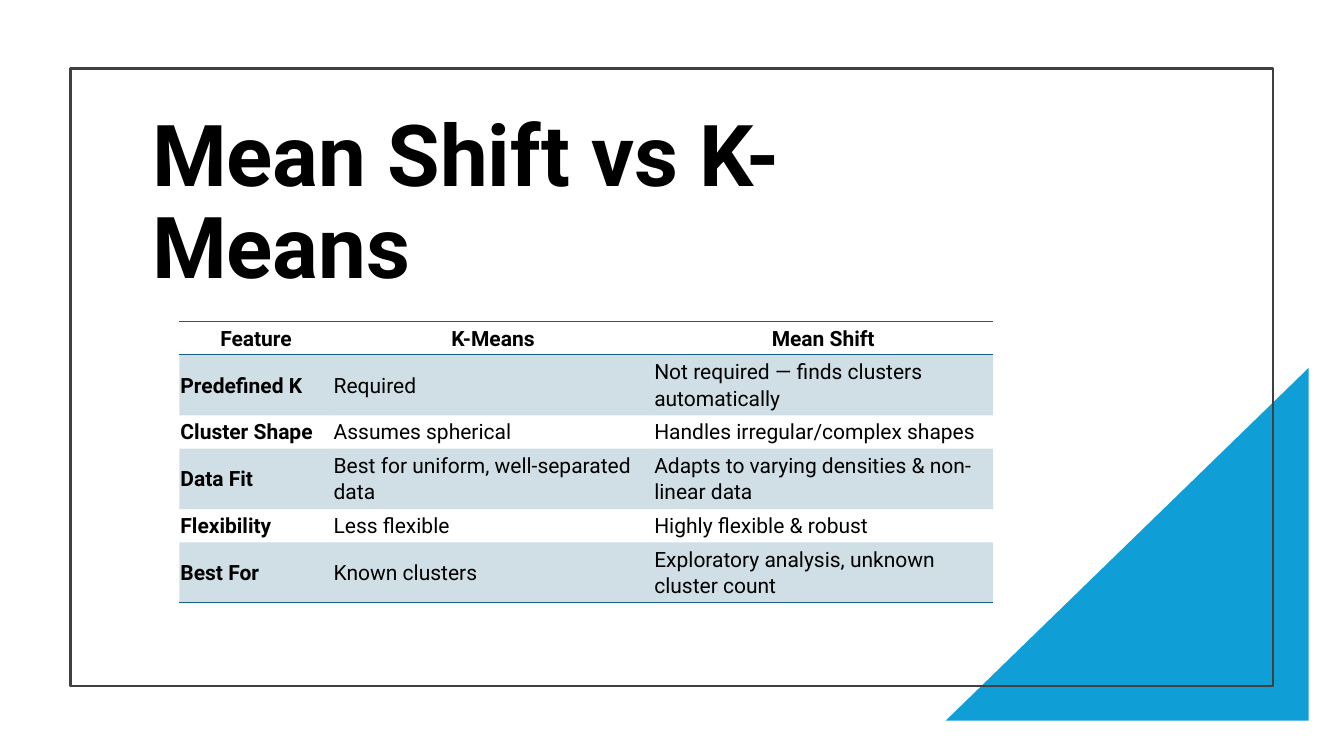
import pptx
import pptx.dml.color
import pptx.enum.shapes
import pptx.enum.text
import pptx.oxml
import pptx.oxml.ns
import pptx.util
from pptx.util import Inches

BLACK = pptx.dml.color.RGBColor(0x00, 0x00, 0x00)
FRAME_GREY = pptx.dml.color.RGBColor(0x40, 0x40, 0x40)
CORNER_BLUE = pptx.dml.color.RGBColor(0x0F, 0x9E, 0xD5)
TEAL = pptx.dml.color.RGBColor(0x15, 0x60, 0x82)
FONT = "Roboto"
PLAIN_TABLE_STYLE = "{2D5ABB26-0587-4C30-8999-92F81FD0307C}"
BAND_OPACITY = 20

COMPARISON = [
    ("Feature", "K-Means", "Mean Shift"),
    ("Predefined K", "Required", "Not required — finds clusters automatically"),
    ("Cluster Shape", "Assumes spherical", "Handles irregular/complex shapes"),
    ("Data Fit", "Best for uniform, well-separated data",
     "Adapts to varying densities & non-linear data"),
    ("Flexibility", "Less flexible", "Highly flexible & robust"),
    ("Best For", "Known clusters", "Exploratory analysis, unknown cluster count"),
]
COLUMN_WIDTHS = (1.52, 3.18, 3.37)
HEADER_HEIGHT, BAND_HEIGHT = 0.33, 0.6


def format_paragraph(paragraph, size, bold, line_spacing):
    paragraph.line_spacing = line_spacing
    for run in paragraph.runs:
        run.font.name = FONT
        run.font.size = pptx.util.Pt(size)
        run.font.bold = bold
        run.font.color.rgb = BLACK


def add_corner_triangle(slide):
    triangle = slide.shapes.add_shape(
        pptx.enum.shapes.MSO_SHAPE.RIGHT_TRIANGLE,
        Inches(9.38), Inches(3.65), Inches(3.6), Inches(3.5))
    triangle.shadow.inherit = False
    triangle.fill.solid()
    triangle.fill.fore_color.rgb = CORNER_BLUE
    triangle.line.fill.background()
    triangle._element.spPr.xfrm.set("flipH", "1")


def add_frame(slide):
    frame = slide.shapes.add_shape(
        pptx.enum.shapes.MSO_SHAPE.RECTANGLE,
        Inches(0.7), Inches(0.68), Inches(11.93), Inches(6.13))
    frame.shadow.inherit = False
    frame.fill.background()
    frame.line.color.rgb = FRAME_GREY
    frame.line.width = pptx.util.Pt(1.5)


def add_title(slide, text):
    title = slide.shapes.add_textbox(
        Inches(1.41), Inches(1.15), Inches(8.83), Inches(1.77)).text_frame
    title.word_wrap = True
    title.vertical_anchor = pptx.enum.text.MSO_ANCHOR.MIDDLE
    title.text = text
    format_paragraph(title.paragraphs[0], 61, True, 0.9)


def add_rule(cell, side):
    """Draw a 1 pt border on one side of a cell: T for top, B for bottom."""
    cell._tc.get_or_add_tcPr().append(pptx.oxml.parse_xml(
        f'<a:ln{side} {pptx.oxml.ns.nsdecls("a")} w="{pptx.util.Pt(1)}">'
        f'<a:solidFill><a:srgbClr val="{TEAL}"/></a:solidFill></a:ln{side}>'))


def fill_band(cell):
    cell.fill.solid()
    cell.fill.fore_color.rgb = TEAL
    color = cell._tc.tcPr.find(".//" + pptx.oxml.ns.qn("a:solidFill") + "[last()]")
    color = cell._tc.tcPr.findall(pptx.oxml.ns.qn("a:solidFill"))[0][0]
    color.append(pptx.oxml.parse_xml(
        f'<a:alpha {pptx.oxml.ns.nsdecls("a")} val="{BAND_OPACITY * 1000}"/>'))


def write_cell(cell, text, bold, centered):
    cell.margin_left = cell.margin_right = Inches(0.01)
    cell.margin_top = cell.margin_bottom = Inches(0.01)
    cell.vertical_anchor = pptx.enum.text.MSO_ANCHOR.MIDDLE
    cell.text_frame.text = text
    paragraph = cell.text_frame.paragraphs[0]
    paragraph.space_after = pptx.util.Pt(8)
    if centered:
        paragraph.alignment = pptx.enum.text.PP_ALIGN.CENTER
    format_paragraph(paragraph, 15, bold, 1.07)


def add_comparison(slide):
    comparison = slide.shapes.add_table(
        len(COMPARISON), len(COLUMN_WIDTHS),
        Inches(1.78), Inches(3.19), Inches(8.07), Inches(2.78)).table
    comparison._tbl.tblPr.find(
        pptx.oxml.ns.qn("a:tableStyleId")).text = PLAIN_TABLE_STYLE
    comparison.first_row = comparison.horz_banding = False
    for column, width in zip(comparison.columns, COLUMN_WIDTHS):
        column.width = Inches(width)
    for r, texts in enumerate(COMPARISON):
        header, banded = r == 0, r % 2 == 1
        comparison.rows[r].height = Inches(BAND_HEIGHT if banded else HEADER_HEIGHT)
        for c, text in enumerate(texts):
            cell = comparison.cell(r, c)
            write_cell(cell, text, header or c == 0, header)
            if header:
                add_rule(cell, "T")
            if header or r == len(COMPARISON) - 1:
                add_rule(cell, "B")
            if banded:
                fill_band(cell)


def main():
    deck = pptx.Presentation()
    deck.slide_width, deck.slide_height = Inches(13.33), Inches(7.5)
    slide = deck.slides.add_slide(deck.slide_layouts[6])
    add_corner_triangle(slide)
    add_frame(slide)
    add_title(slide, "Mean Shift vs K-Means")
    add_comparison(slide)
    deck.save("out.pptx")


if __name__ == "__main__":
    main()
